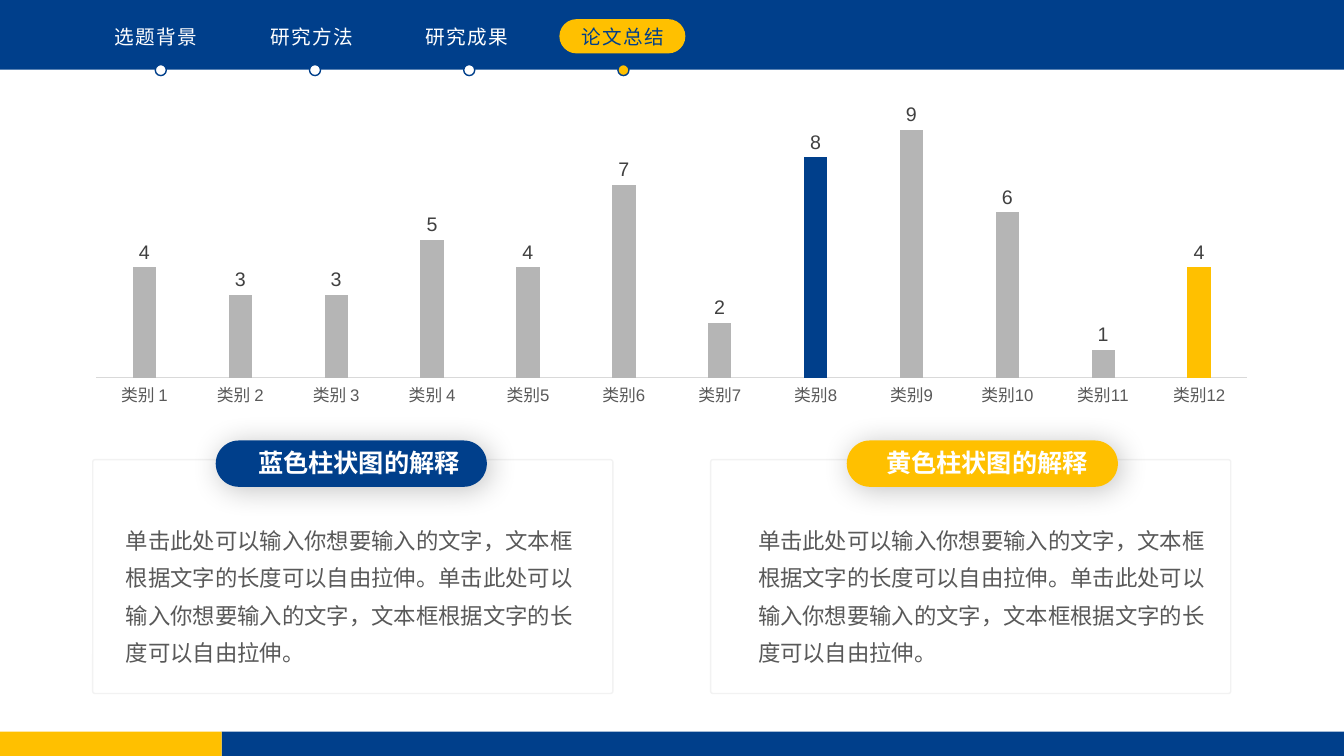
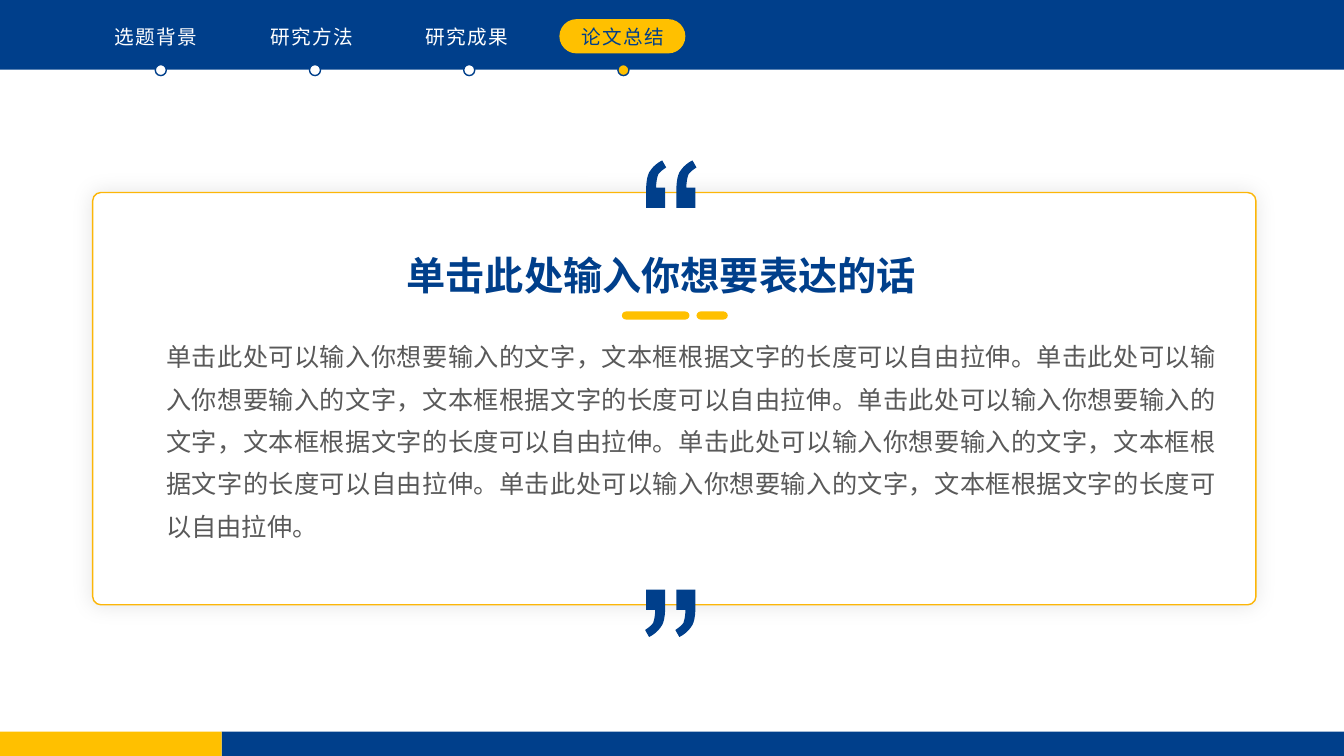
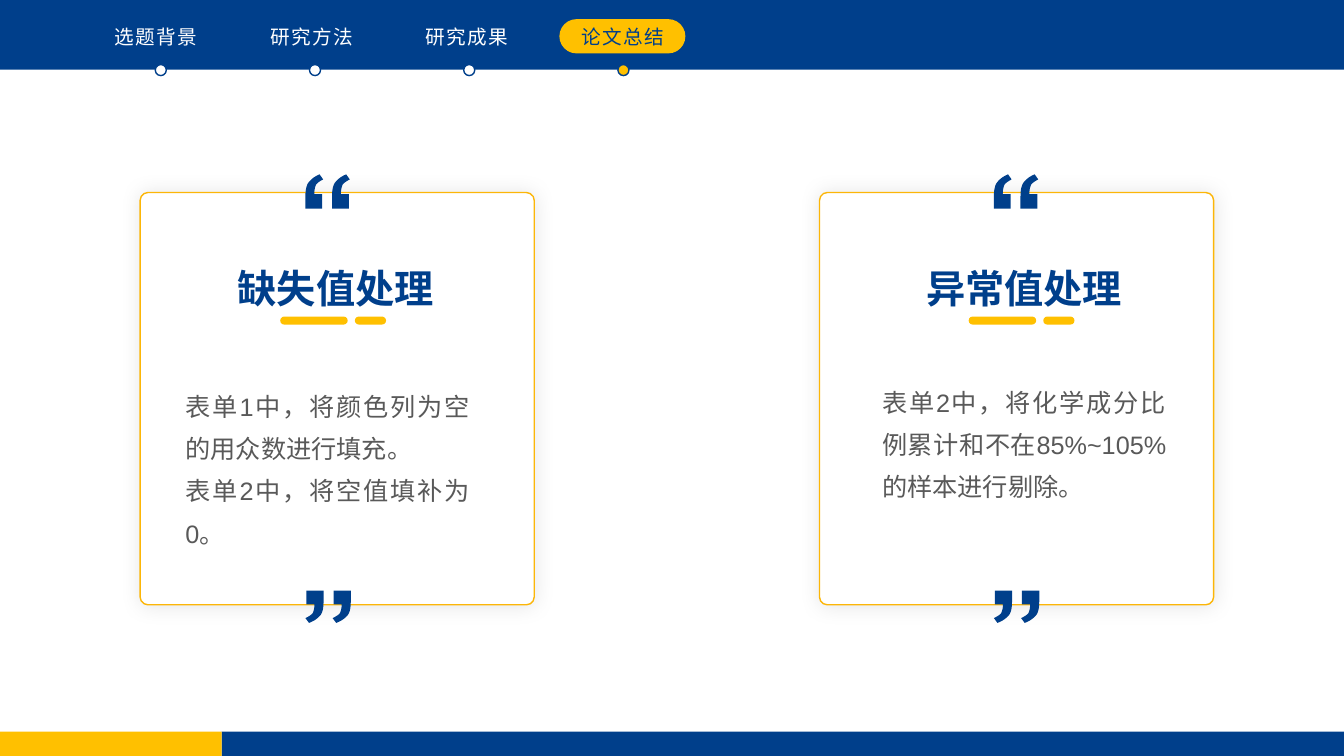
"""Build three thesis-summary slides: a column chart, a quotation and two method cards."""
from dataclasses import dataclass
from typing import NamedTuple

from lxml import etree
from pptx import Presentation
from pptx.chart.data import CategoryChartData
from pptx.dml.color import RGBColor
from pptx.enum.chart import XL_CHART_TYPE, XL_LABEL_POSITION, XL_TICK_MARK
from pptx.enum.shapes import MSO_SHAPE
from pptx.enum.text import MSO_ANCHOR, MSO_AUTO_SIZE, PP_ALIGN
from pptx.oxml.ns import qn
from pptx.util import Inches, Pt

COLORS = {
    "blue": "003F8B", "yellow": "FFC000", "amber": "FCB608", "white": "FFFFFF",
    "pale": "F2F2F2", "axis": "D9D9D9", "column": "B5B5B5", "text": "595959",
    "label": "404040", "black": "000000",
}
CJK, LATIN = "Noto Sans CJK SC", "Arial"
WIDTH, HEIGHT = Inches(13.33), Inches(7.5)
COLUMNS, ROWS = 160, 90
TABS = ("选题背景", "研究方法", "研究成果", "论文总结")
ACTIVE = 3
SENTENCE = "单击此处可以输入你想要输入的文字，文本框根据文字的长度可以自由拉伸。"
MARK_START = (0.16, 0)
MARK_STEPS = (
    (0.20, 0.07), (0.17, 0.09, 0.14, 0.11, 0.12, 0.14),
    (0.11, 0.17, 0.10, 0.21, 0.10, 0.27), (0.19, 0.27), (0.19, 0.47),
    (0, 0.47), (0, 0.31), (0, 0.22, 0.01, 0.16, 0.03, 0.12),
    (0.06, 0.07, 0.10, 0.03, 0.16, 0),
)
MARK_GAP, MARK_WIDTH, MARK_HEIGHT = 0.3, 0.5, 0.47


class Box(NamedTuple):
    left: float
    top: float
    width: float
    height: float

    def emu(self):
        return (across(self.left), down(self.top), across(self.width), down(self.height))


class Shadow(NamedTuple):
    opacity: int
    blur: int
    distance: int
    angle: int


@dataclass(frozen=True)
class Panel:
    heading: str
    color: str
    frame_left: float
    pill_left: float
    heading_left: float
    body_left: float


@dataclass(frozen=True)
class QuoteCard:
    heading: str
    paragraphs: tuple
    frame: Box
    opening: Box
    closing: Box
    heading_box: Box
    dash_left: float
    dash_top: float
    body_box: Box


PILL_SHADOW = Shadow(24, 21, 3, 45)
CARD_SHADOW = Shadow(10, 15, 0, 0)
PANELS = (
    Panel("蓝色柱状图的解释", "blue", 11.04, 25.68, 29.52, 13.8),
    Panel("黄色柱状图的解释", "yellow", 84.6, 100.8, 104.28, 89.04),
)
QUOTATION = QuoteCard(
    "单击此处输入你想要表达的话", (SENTENCE * 5,),
    Box(11.04, 22.92, 138.48, 49.08), Box(76.92, 19.1, 6, 5.64),
    Box(76.8, 70.2, 6, 5.64), Box(45.84, 28.8, 65.76, 6.24),
    74.04, 37.08, Box(18.6, 38.64, 127.44, 26.16),
)


def method_card(heading: str, paragraphs: tuple, frame_left: float,
                content_left: float, body_box: Box) -> QuoteCard:
    return QuoteCard(
        heading, paragraphs, Box(frame_left, 22.92, 46.92, 49.08),
        Box(content_left + 12.84, 20.76, 5.28, 4.08),
        Box(content_left + 12.84, 70.32, 5.4, 3.84),
        Box(content_left, 30.36, 32.88, 6.24),
        content_left + 9.84, 37.68, body_box,
    )


METHODS = (
    method_card("缺失值处理",
                ("表单1中，将颜色列为空的用众数进行填充。", "表单2中，将空值填补为0。"),
                16.68, 23.52, Box(20.88, 44.52, 36.24, 19.92)),
    method_card("异常值处理",
                ("表单2中，将化学成分比例累计和不在85%~105%的样本进行剔除。",),
                97.56, 105.48, Box(103.8, 44.04, 36.24, 16.2)),
)


def across(columns: float) -> int:
    return round(WIDTH * columns / COLUMNS)


def down(rows: float) -> int:
    return round(HEIGHT * rows / ROWS)


def rgb(name: str) -> RGBColor:
    return RGBColor.from_string(COLORS[name])


def add_shadow(shape, shadow: Shadow) -> None:
    effects = shape._element.spPr.find(qn("a:effectLst"))
    outer = etree.SubElement(effects, qn("a:outerShdw"), blurRad=str(Pt(shadow.blur)),
                             dist=str(Pt(shadow.distance)), dir=str(shadow.angle * 60000),
                             algn="ctr", rotWithShape="0")
    tint = etree.SubElement(outer, qn("a:srgbClr"), val=COLORS["black"])
    etree.SubElement(tint, qn("a:alpha"), val=str(shadow.opacity * 1000))


def paint(shape, fill: str, line: str | None = None, shadow: Shadow | None = None) -> None:
    shape.shadow.inherit = False
    shape.fill.solid()
    shape.fill.fore_color.rgb = rgb(fill)
    if line:
        shape.line.color.rgb = rgb(line)
        shape.line.width = Pt(1)
    else:
        shape.line.fill.background()
    if shadow:
        add_shadow(shape, shadow)


def draw(slide, kind, box: Box, fill: str, line: str | None = None,
         corner: float | None = None, shadow: Shadow | None = None):
    shape = slide.shapes.add_shape(kind, *box.emu())
    if corner is not None:
        shape.adjustments[0] = corner
    paint(shape, fill, line, shadow)
    return shape


def write(slide, box: Box, *paragraphs: str, slot: int | None = None, size: float = 18,
          color: str = "text", font: str = LATIN, bold: bool = False,
          align=PP_ALIGN.LEFT, anchor=MSO_ANCHOR.TOP, leading: float = 1.0,
          tracking: int = 0, inset: bool = True) -> None:
    if slot is None:
        holder = slide.shapes.add_textbox(*box.emu())
    else:
        holder = slide.placeholders[slot]
        holder.left, holder.top, holder.width, holder.height = box.emu()
        slide.shapes._spTree.append(holder._element)
    frame = holder.text_frame
    frame.word_wrap = True
    frame.auto_size = MSO_AUTO_SIZE.NONE
    frame.vertical_anchor = anchor
    side, edge = (Inches(0.1), Inches(0.05)) if inset else (0, 0)
    frame.margin_left = frame.margin_right = side
    frame.margin_top = frame.margin_bottom = edge
    for index, text in enumerate(paragraphs):
        paragraph = frame.add_paragraph() if index else frame.paragraphs[0]
        properties = paragraph._p.get_or_add_pPr()
        properties.set("marL", "0")
        properties.set("indent", "0")
        etree.SubElement(properties, qn("a:buNone"))
        paragraph.alignment = align
        paragraph.line_spacing = leading
        paragraph.space_before = paragraph.space_after = Pt(0)
        run = paragraph.add_run()
        run.text = text
        run.font.size, run.font.bold, run.font.name = Pt(size), bold, font
        run.font.color.rgb = rgb(color)
        run_properties = run._r.get_or_add_rPr()
        etree.SubElement(run_properties, qn("a:ea"), typeface=CJK)
        if tracking:
            run_properties.set("spc", str(tracking * 100))


def build_master(deck, slide) -> None:
    bands = [
        draw(slide, MSO_SHAPE.RECTANGLE, Box(0, 0, COLUMNS, 8.3), "blue"),
        draw(slide, MSO_SHAPE.ROUNDED_RECTANGLE, Box(66.6, 2.28, 15, 4.08), "yellow", corner=0.5),
        draw(slide, MSO_SHAPE.RECTANGLE, Box(26.4, 87.1, 133.6, 2.9), "blue"),
        draw(slide, MSO_SHAPE.RECTANGLE, Box(0, 87.1, 26.4, 2.9), "yellow"),
    ]
    dots = [
        draw(slide, MSO_SHAPE.OVAL, Box(18.48 + 18.36 * index, 7.68, 1.32, 1.32),
             "yellow" if index == ACTIVE else "white", "blue")
        for index in range(len(TABS))
    ]
    for shape in bands + dots:
        deck.slide_master.shapes._spTree.append(shape._element)


def add_tabs(slide, title_slot: int | None) -> None:
    for index, tab in enumerate(TABS):
        active = index == ACTIVE
        write(slide, Box(9.6 + 18.5 * index, 2.34, 18, 4.08), tab,
              slot=title_slot if active else None, size=14, font=CJK,
              color="blue" if active else "white", align=PP_ALIGN.CENTER, tracking=1)


def style_font(font, size: float, color: str) -> None:
    font.name, font.size = LATIN, Pt(size)
    font.color.rgb = rgb(color)


def add_columns(slide) -> None:
    data = CategoryChartData()
    data.categories = [f"类别 {n}" if n < 5 else f"类别{n}" for n in range(1, 13)]
    data.add_series("Series 1", (4, 3, 3, 5, 4, 7, 2, 8, 9, 6, 1, 4))
    chart = slide.shapes.add_chart(XL_CHART_TYPE.COLUMN_CLUSTERED,
                                   *Box(8.64, 11.4, 142.68, 37.8).emu(), data).chart
    chart.has_legend = chart.has_title = False
    style_font(chart.font, 10, "black")
    values = chart.value_axis
    values.minimum_scale, values.maximum_scale = 0, 10
    values.has_major_gridlines = values.visible = False
    categories = chart.category_axis
    categories.major_tick_mark = categories.minor_tick_mark = XL_TICK_MARK.NONE
    categories.format.line.color.rgb = rgb("axis")
    categories.format.line.width = Pt(0.75)
    style_font(categories.tick_labels.font, 12, "text")
    plot = chart.plots[0]
    plot.gap_width, plot.overlap, plot.vary_by_categories = 310, -27, False
    plot.has_data_labels = True
    plot.data_labels.show_value = True
    plot.data_labels.position = XL_LABEL_POSITION.OUTSIDE_END
    style_font(plot.data_labels.font, 14, "label")
    series = plot.series[0]
    series.format.fill.solid()
    series.format.fill.fore_color.rgb = rgb("column")
    for index, color in ((7, "blue"), (11, "yellow")):
        fill = series.points[index].format.fill
        fill.solid()
        fill.fore_color.rgb = rgb(color)


def add_panel(slide, panel: Panel, slot: int) -> None:
    draw(slide, MSO_SHAPE.ROUNDED_RECTANGLE, Box(panel.frame_left, 54.72, 61.92, 27.84),
         "white", "pale", 0.01)
    draw(slide, MSO_SHAPE.ROUNDED_RECTANGLE, Box(panel.pill_left, 52.44, 32.28, 5.52),
         panel.color, corner=0.5, shadow=PILL_SHADOW)
    write(slide, Box(panel.heading_left, 50.88, 28.32, 8.28), panel.heading, slot=slot,
          color="white", font=CJK, bold=True, anchor=MSO_ANCHOR.MIDDLE)
    write(slide, Box(panel.body_left, 60.84, 57.84, 18.84), SENTENCE * 2, slot=slot + 1,
          size=16, leading=1.4)


def mark_outline() -> list:
    points = [MARK_START]
    for step in MARK_STEPS:
        if len(step) == 2:
            points.append(step)
            continue
        controls = (points[-1], step[:2], step[2:4], step[4:])
        for t in (0.2, 0.4, 0.6, 0.8, 1):
            weights = ((1 - t) ** 3, 3 * t * (1 - t) ** 2, 3 * t * t * (1 - t), t ** 3)
            points.append(tuple(sum(w * c[axis] for w, c in zip(weights, controls))
                                for axis in (0, 1)))
    return points


def add_quote(slide, box: Box, closing: bool = False) -> None:
    left, top, width, height = box.emu()

    def place(x: float, y: float) -> tuple:
        share_x, share_y = x / MARK_WIDTH, y / MARK_HEIGHT
        if closing:
            share_x, share_y = 1 - share_x, 1 - share_y
        return round(left + width * share_x), round(top + height * share_y)

    marks = [[place(x + shift, y) for x, y in mark_outline()] for shift in (0, MARK_GAP)]
    builder = slide.shapes.build_freeform(*marks[0][0])
    builder.add_line_segments(marks[0][1:], close=True)
    builder.move_to(*marks[1][0])
    builder.add_line_segments(marks[1][1:], close=True)
    paint(builder.convert_to_shape(), "blue")


def add_quote_card(slide, card: QuoteCard, slot: int) -> None:
    draw(slide, MSO_SHAPE.ROUNDED_RECTANGLE, card.frame, "white", "amber", 0.02, CARD_SHADOW)
    add_quote(slide, card.opening)
    add_quote(slide, card.closing, closing=True)
    write(slide, card.heading_box, card.heading, slot=slot, size=28, color="blue", font=CJK,
          bold=True, align=PP_ALIGN.CENTER, leading=1.2, inset=False)
    for shift, width in ((0, 8.04), (8.88, 3.72)):
        draw(slide, MSO_SHAPE.ROUNDED_RECTANGLE,
             Box(card.dash_left + shift, card.dash_top, width, 0.96), "yellow", corner=0.5)
    write(slide, card.body_box, *card.paragraphs, slot=slot + 1,
          align=PP_ALIGN.JUSTIFY, leading=1.4)


def main() -> None:
    deck = Presentation()
    deck.slide_width, deck.slide_height = WIDTH, HEIGHT
    single, comparison = deck.slide_layouts[1], deck.slide_layouts[4]

    results = deck.slides.add_slide(comparison)
    build_master(deck, results)
    add_tabs(results, title_slot=0)
    add_columns(results)
    for panel, slot in zip(PANELS, (1, 3)):
        add_panel(results, panel, slot)

    quotation = deck.slides.add_slide(single)
    add_tabs(quotation, title_slot=None)
    add_quote_card(quotation, QUOTATION, 0)

    methods = deck.slides.add_slide(comparison)
    add_tabs(methods, title_slot=0)
    for card, slot in zip(METHODS, (1, 3)):
        add_quote_card(methods, card, slot)

    deck.save("out.pptx")


if __name__ == "__main__":
    main()
